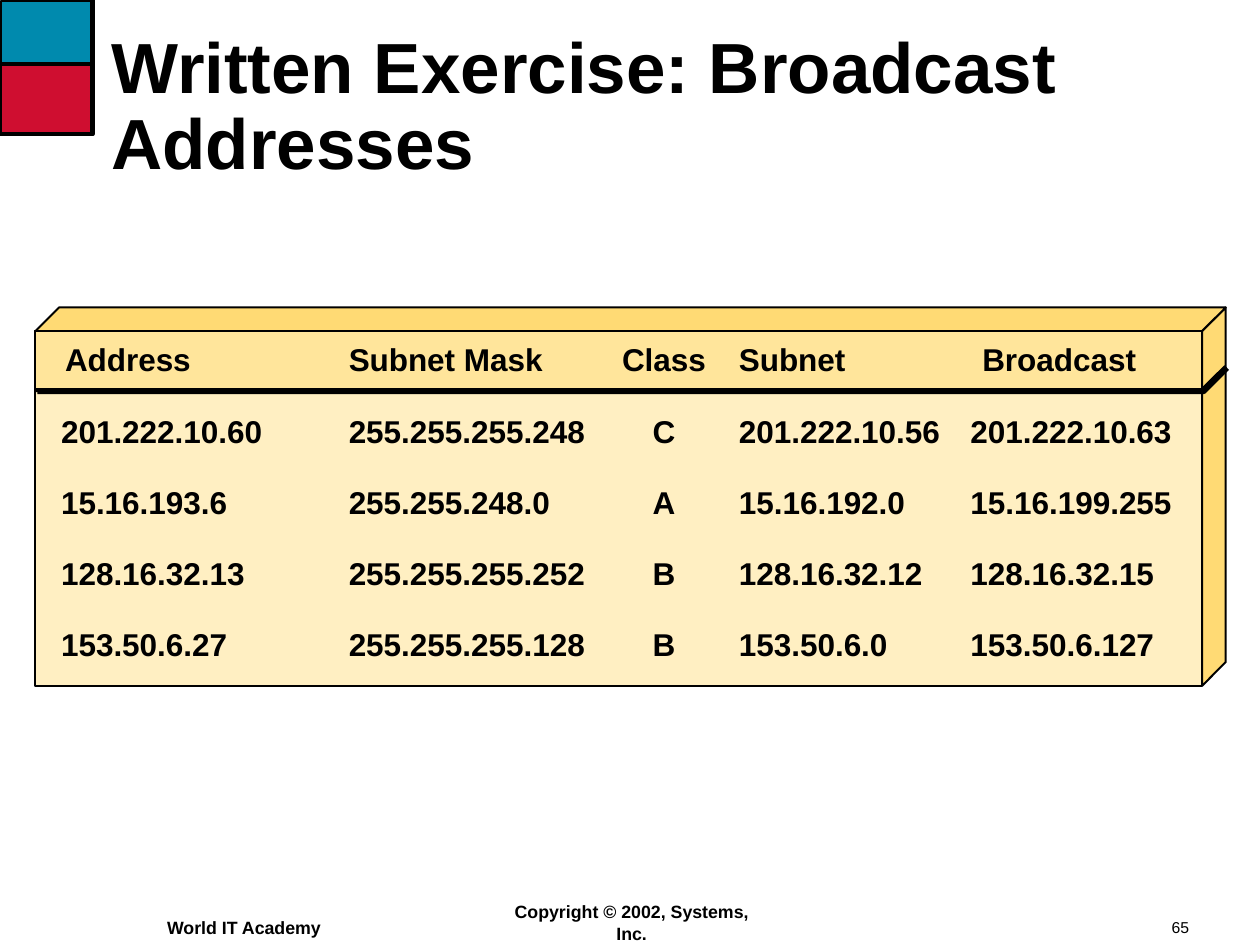
import pptx
import pptx.dml.color
import pptx.enum.shapes
import pptx.enum.text
import pptx.oxml
import pptx.oxml.ns
import pptx.util

Pt = pptx.util.Pt
RGB = pptx.dml.color.RGBColor
ALIGN = pptx.enum.text.PP_ALIGN
MIDDLE = pptx.enum.text.MSO_ANCHOR.MIDDLE

BLACK = RGB(0x00, 0x00, 0x00)
WHITE = RGB(0xFF, 0xFF, 0xFF)
BLUE = RGB(0x00, 0x8A, 0xAE)
RED = RGB(0xCF, 0x0E, 0x30)
CREAM = RGB(0xFF, 0xEF, 0xC2)
SAND = RGB(0xFF, 0xE5, 0x9B)
GOLD = RGB(0xFF, 0xDA, 0x74)

TITLE = "Written Exercise: Broadcast Addresses"
HEADS = ("Address", "Subnet Mask", "Class", "Subnet", "Broadcast")
ROWS = [
    ("201.222.10.60", "255.255.255.248", "C", "201.222.10.56", "201.222.10.63"),
    ("15.16.193.6", "255.255.248.0", "A", "15.16.192.0", "15.16.199.255"),
    ("128.16.32.13", "255.255.255.252", "B", "128.16.32.12", "128.16.32.15"),
    ("153.50.6.27", "255.255.255.128", "B", "153.50.6.0", "153.50.6.127"),
]
# text, (left, top, width, height), size, bold, alignment
FOOTERS = [
    ("World IT Academy", (77.75, 461.5, 95, 18), 9, True, ALIGN.LEFT),
    ("Copyright © 2002, Systems, Inc.", (245.5, 459.5, 150, 17), 9, True, ALIGN.CENTER),
    ("65", (587.5, 463, 48, 15), 8, False, ALIGN.LEFT),
]

# Front face of the panel, its depth, and the table grid
LEFT, TOP, RIGHT, BASE = 18, 168, 610, 348
DEPTH = 12
RULE = 198
EDGES = (LEFT, 172, 304, 370, 487.5, RIGHT)
PAD = 5
INDENT = 8             # extra left margin of the first column
SHIFT = {0: 2, 4: 6}   # headings set in from their column
STEP = 36
DROP = 7               # top margin of the data rows
PLAIN = "{2D5ABB26-0587-4C30-8999-92F81FD0307C}"
SHADE = (
    '<a:effectLst %s><a:outerShdw dist="17780" dir="2700000">'
    '<a:srgbClr val="000000"/></a:outerShdw></a:effectLst>'
    % pptx.oxml.ns.nsdecls("a")
)


def paint(shape, fill, weight):
    shape.shadow.inherit = False
    if fill is None:
        shape.fill.background()
    else:
        shape.fill.solid()
        shape.fill.fore_color.rgb = fill
    shape.line.color.rgb = BLACK
    shape.line.width = Pt(weight)
    return shape


def rect(shapes, box, fill):
    kind = pptx.enum.shapes.MSO_SHAPE.RECTANGLE
    return paint(shapes.add_shape(kind, *map(Pt, box)), fill, 1)


def outline(shapes, points, fill, weight):
    """Draw a closed shape, or an open line when there is no fill."""
    start, *rest = [(Pt(x), Pt(y)) for x, y in points]
    pen = shapes.build_freeform(*start, scale=1.0)
    pen.add_line_segments(rest, close=fill is not None)
    return paint(pen.convert_to_shape(), fill, weight)


def write(frame, text, size, bold=True, align=ALIGN.LEFT):
    frame.text = text
    par = frame.paragraphs[0]
    par.alignment = align
    par.font.name = "Arial"
    par.font.size = Pt(size)
    par.font.bold = bold
    par.font.color.rgb = BLACK
    return par


def add_logo(shapes):
    """Two colour blocks with heavy lines in the top left corner."""
    rect(shapes, (0.5, 0.5, 45.5, 32), BLUE)
    rect(shapes, (0.5, 32.5, 45.5, 35), RED)
    outline(shapes, [(47, 32.5), (0, 32.5)], None, 2)
    outline(shapes, [(0, 68), (47, 68), (47, 0)], None, 2)


def add_panel(shapes):
    far, back = RIGHT + DEPTH, TOP - DEPTH
    side = [(far, back), (RIGHT, TOP), (RIGHT, BASE), (far, BASE - DEPTH)]
    lid = [(LEFT, TOP), (LEFT + DEPTH, back), (far, back), (RIGHT, TOP)]
    outline(shapes, side, GOLD, 1)
    rect(shapes, (LEFT, TOP, RIGHT - LEFT, BASE - TOP), CREAM)
    rect(shapes, (LEFT, TOP, RIGHT - LEFT, RULE - TOP), SAND)
    outline(shapes, lid, GOLD, 1)
    bar = outline(shapes, [(LEFT, RULE), (RIGHT, RULE), (far, RULE - DEPTH)], None, 2)
    props = bar._element.spPr
    props.remove(props.find(pptx.oxml.ns.qn("a:effectLst")))
    props.append(pptx.oxml.parse_xml(SHADE))


def add_grid(shapes):
    high = RULE - TOP + STEP * len(ROWS)
    box = (LEFT, TOP, RIGHT - LEFT, high)
    frame = shapes.add_table(len(ROWS) + 1, len(HEADS), *map(Pt, box))
    table = frame.table
    table.horz_banding = False
    table._tbl.tblPr.find(pptx.oxml.ns.qn("a:tableStyleId")).text = PLAIN
    for col, start, end in zip(table.columns, EDGES, EDGES[1:]):
        col.width = Pt(end - start)
    for r, row in enumerate([HEADS] + ROWS):
        table.rows[r].height = Pt(STEP if r else RULE - TOP)
        for c, text in enumerate(row):
            cell = table.cell(r, c)
            cell.fill.background()
            cell.vertical_anchor = MIDDLE
            mid = HEADS[c] == "Class"
            inset = PAD + (0 if c else INDENT) + (0 if r else SHIFT.get(c, 0))
            cell.margin_left = Pt(0 if mid else inset)
            cell.margin_right = cell.margin_bottom = 0
            cell.margin_top = Pt(DROP if r else 0)
            write(cell.text_frame, text, 16, align=ALIGN.CENTER if mid else ALIGN.LEFT)


def add_title(shape):
    shape.left, shape.top, shape.width, shape.height = map(Pt, (50.5, 15, 557, 80))
    frame = shape.text_frame
    frame.word_wrap = True
    frame.auto_size = pptx.enum.text.MSO_AUTO_SIZE.NONE
    frame.vertical_anchor = MIDDLE
    frame.margin_left = frame.margin_right = Pt(6)
    frame.margin_top = frame.margin_bottom = Pt(3)
    write(frame, TITLE, 36).line_spacing = 0.9


def add_footers(shapes):
    for text, box, size, bold, align in FOOTERS:
        frame = shapes.add_textbox(*map(Pt, box)).text_frame
        frame.word_wrap = True
        frame.vertical_anchor = MIDDLE
        frame.margin_left = frame.margin_right = Pt(7)
        frame.margin_top = frame.margin_bottom = 0
        write(frame, text, size, bold, align)


def main():
    deck = pptx.Presentation()
    deck.slide_width, deck.slide_height = Pt(639.36), Pt(479.52)
    slide = deck.slides.add_slide(deck.slide_layouts.get_by_name("Title Only"))
    slide.background.fill.solid()
    slide.background.fill.fore_color.rgb = WHITE
    add_title(slide.shapes.title)
    add_logo(slide.shapes)
    add_panel(slide.shapes)
    add_grid(slide.shapes)
    add_footers(slide.shapes)
    deck.save("out.pptx")


if __name__ == "__main__":
    main()
